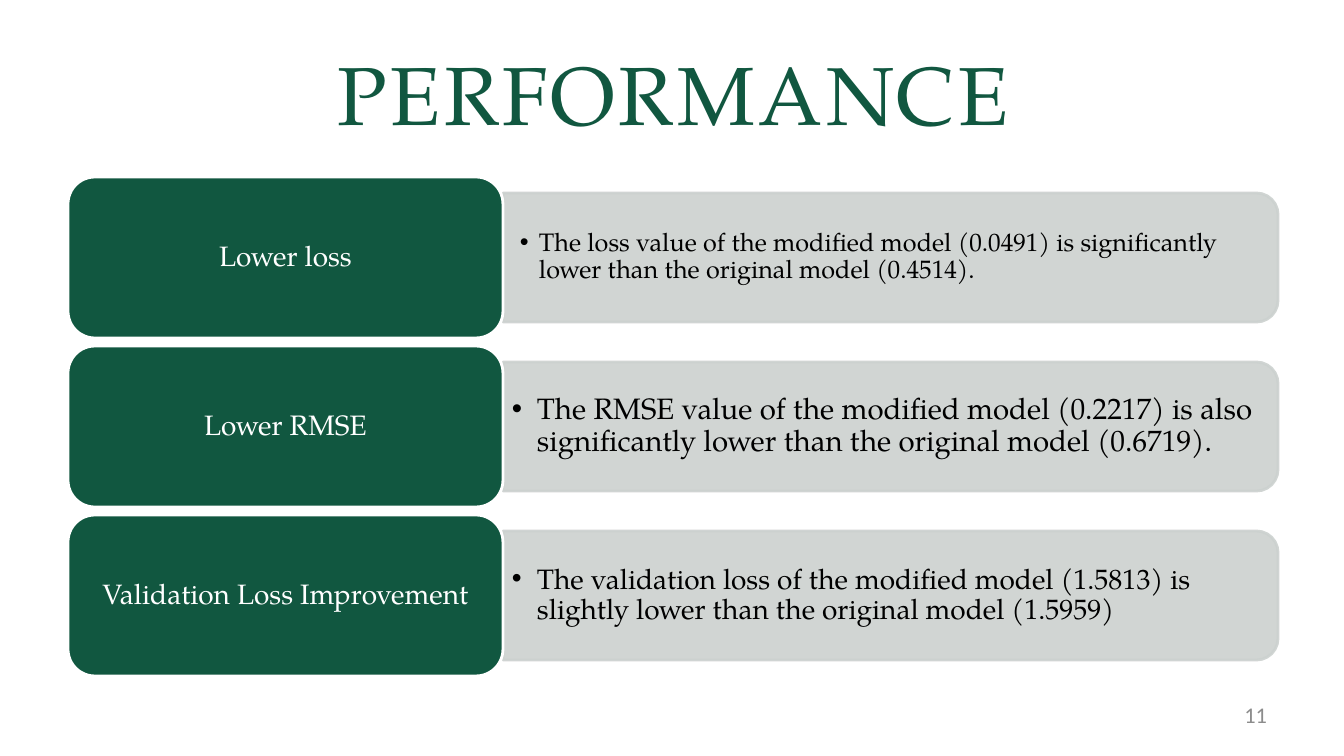
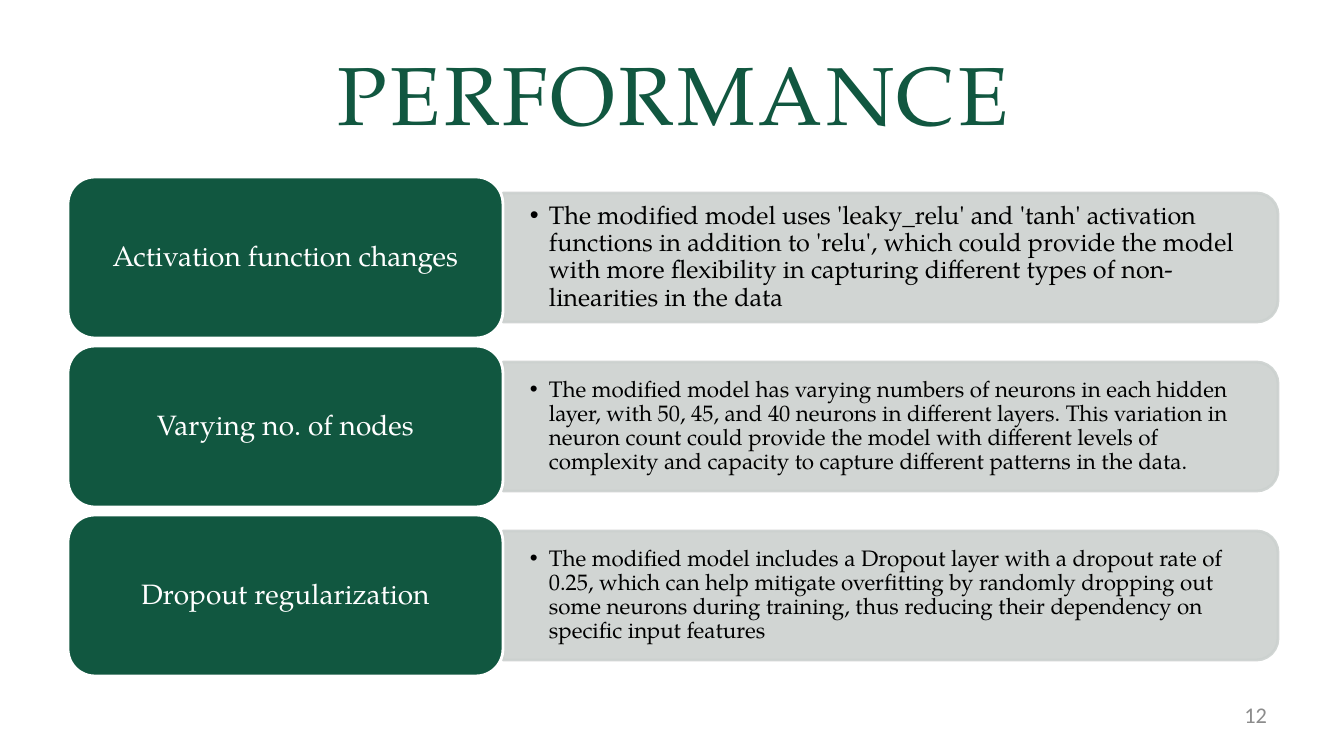
from lxml.etree import SubElement
from pptx import Presentation
from pptx.dml.color import RGBColor
from pptx.enum.shapes import MSO_SHAPE
from pptx.enum.text import MSO_ANCHOR, MSO_AUTO_SIZE, PP_ALIGN
from pptx.oxml.ns import qn
from pptx.util import Emu, Pt

GREEN, GRAY, WHITE, BLACK, NUMBER_GRAY = "115740", "CCD1CF", "FFFFFF", "000000", "8C8C8C"
SERIF, SANS = "TeX Gyre Pagella", "Calibri"
SCALE = 914400 / 100.8
FIRST_TOP, ROW_STEP = 177, 169
LABEL_LEFT, LABEL_WIDTH, LABEL_HEIGHT = 68, 435, 161
BAR_LEFT, BAR_WIDTH, BAR_HEIGHT = LABEL_LEFT + LABEL_WIDTH, 775, 129
BAR_OFFSET = (LABEL_HEIGHT - BAR_HEIGHT) // 2
ROTATION_SHIFT = (BAR_WIDTH - BAR_HEIGHT) // 2
DETAIL_WIDTH, DETAIL_HEIGHT = 768, 116

SLIDES = [
    (11, [
        ("Lower loss", 18, 17, 19,
         "The loss value of the modified model (0.0491) is significantly lower than "
         "the original model (0.4514)."),
        ("Lower RMSE", 21, 9, 25,
         "The RMSE value of the modified model (0.2217) is also significantly lower "
         "than the original model (0.6719)."),
        ("Validation Loss Improvement", 20, 9, 25,
         "The validation loss of the modified model (1.5813) is slightly lower than "
         "the original model (1.5959)"),
    ]),
    (12, [
        ("Activation function changes", 18, 27, 19,
         "The modified model uses 'leaky_relu' and 'tanh' activation functions in "
         "addition to 'relu', which could provide the model with more flexibility in "
         "capturing different types of non-linearities in the data"),
        ("Varying no. of nodes", 16, 27, 19,
         "The modified model has varying numbers of neurons in each hidden layer, with "
         "50, 45, and 40 neurons in different layers. This variation in neuron count "
         "could provide the model with different levels of complexity and capacity to "
         "capture different patterns in the data."),
        ("Dropout regularization", 16, 27, 19,
         "The modified model includes a Dropout layer with a dropout rate of 0.25, "
         "which can help mitigate overfitting by randomly dropping out some neurons "
         "during training, thus reducing their dependency on specific input features"),
    ]),
]


def box(*pixels):
    return [Emu(round(pixel * SCALE)) for pixel in pixels]


def write(shape, text, size, color, alignment, font=SERIF):
    frame = shape.text_frame
    frame.word_wrap = True
    frame.auto_size = MSO_AUTO_SIZE.NONE
    frame.vertical_anchor = MSO_ANCHOR.MIDDLE
    paragraph = frame.paragraphs[0]
    paragraph.alignment = alignment
    run = paragraph.add_run()
    run.text = text
    run.font.name = font
    run.font.size = Pt(size)
    run.font.color.rgb = RGBColor.from_string(color)
    return paragraph


presentation = Presentation()
presentation.slide_width, presentation.slide_height = box(1344, 756)
layout = presentation.slide_layouts[5]

for number, rows in SLIDES:
    slide = presentation.slides.add_slide(layout)
    title = slide.shapes.title
    title.left, title.top, title.width, title.height = box(LABEL_LEFT, 30, 1210, 126)
    paragraph = write(title, "PERFORMANCE", 58.7, GREEN, PP_ALIGN.CENTER)
    paragraph.runs[0].font._element.set("spc", "270")

    for index, (heading, size, inset, indent, detail) in enumerate(rows):
        top = FIRST_TOP + index * ROW_STEP
        bar_top = top + BAR_OFFSET

        bar = slide.shapes.add_shape(
            MSO_SHAPE.ROUND_2_SAME_RECTANGLE,
            *box(BAR_LEFT + ROTATION_SHIFT, bar_top - ROTATION_SHIFT, BAR_HEIGHT, BAR_WIDTH))
        bar.rotation = 90
        label = slide.shapes.add_shape(
            MSO_SHAPE.ROUNDED_RECTANGLE, *box(LABEL_LEFT, top, LABEL_WIDTH, LABEL_HEIGHT))
        for shape, fill, line in ((bar, GRAY, GRAY), (label, GREEN, WHITE)):
            shape.shadow.inherit = False
            shape.fill.solid()
            shape.fill.fore_color.rgb = RGBColor.from_string(fill)
            shape.line.color.rgb = RGBColor.from_string(line)
            shape.line.width = Pt(2)
        for color in bar._element.spPr.iter(qn("a:srgbClr")):
            SubElement(color, qn("a:alpha"), val="90000")

        paragraph = write(label, heading, 20, WHITE, PP_ALIGN.CENTER)
        paragraph.line_spacing = 0.9
        frame = label.text_frame
        frame.margin_left, frame.margin_right = box(8, 8)

        detail_box = slide.shapes.add_textbox(
            *box(BAR_LEFT, bar_top + (BAR_HEIGHT - DETAIL_HEIGHT) // 2, DETAIL_WIDTH, DETAIL_HEIGHT))
        paragraph = write(detail_box, detail, size, BLACK, PP_ALIGN.LEFT)
        paragraph.line_spacing = 0.9
        frame = detail_box.text_frame
        frame.margin_left, frame.margin_right = box(inset, inset)
        frame.margin_top, frame.margin_bottom = box(inset // 2, inset // 2)
        properties = paragraph._p.get_or_add_pPr()
        hanging = box(indent)[0]
        properties.set("marL", str(hanging))
        properties.set("indent", str(-hanging))
        SubElement(properties, qn("a:buFont"), typeface="Arial")
        SubElement(properties, qn("a:buChar"), char="•")

    page_number = slide.shapes.add_textbox(*box(964, 695, 313, 40))
    write(page_number, str(number), 16, NUMBER_GRAY, PP_ALIGN.RIGHT, SANS)

presentation.save("out.pptx")
